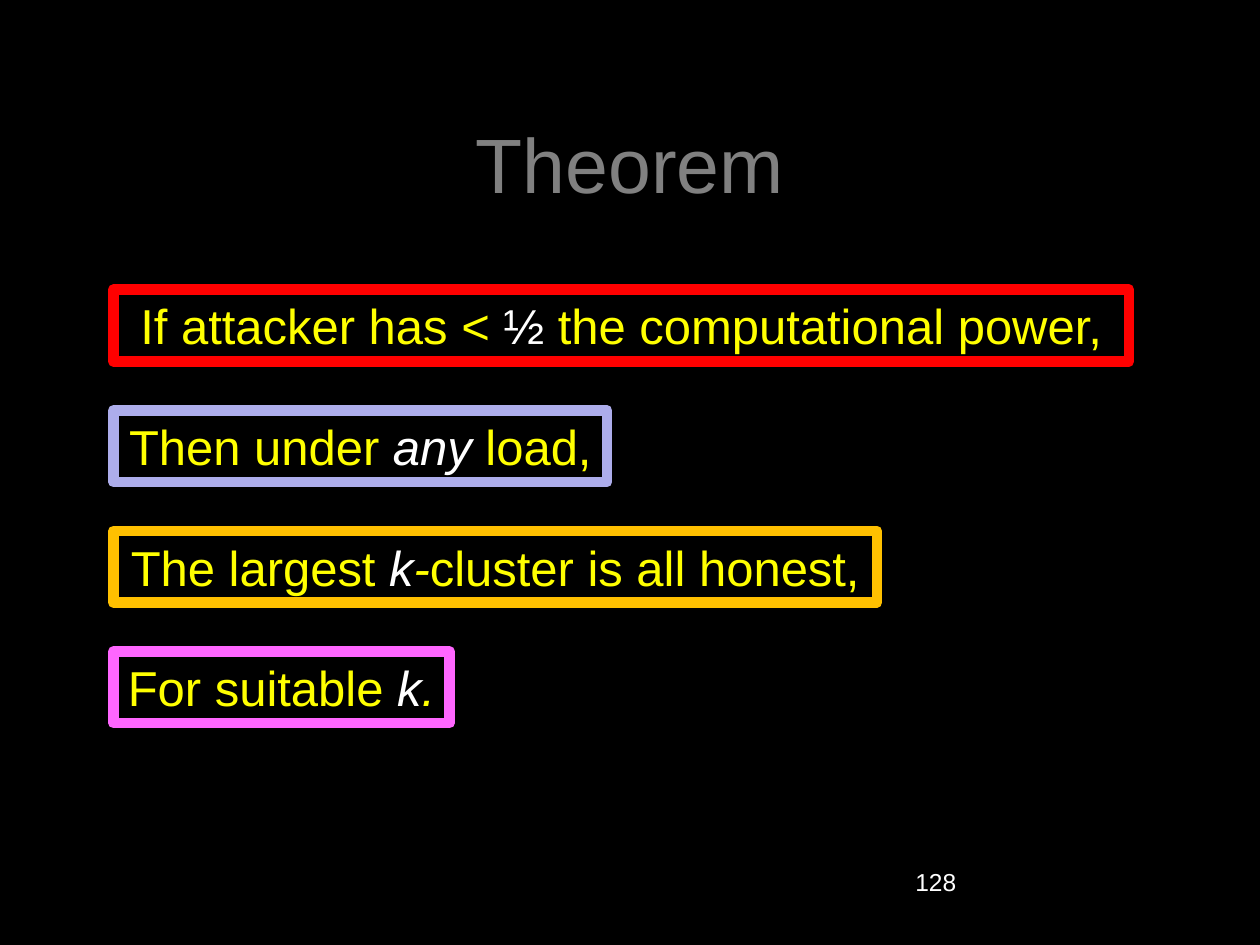
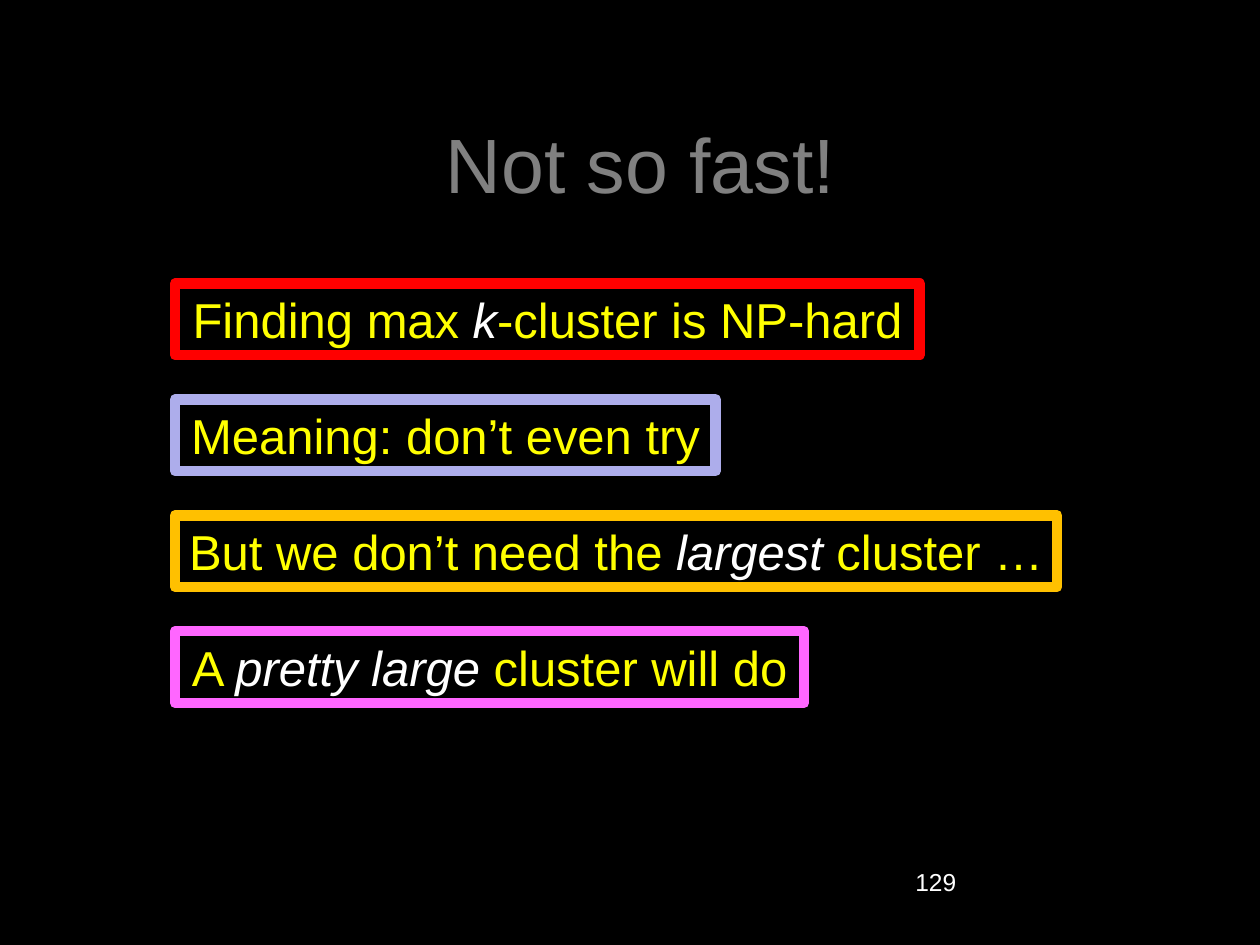
from dataclasses import dataclass, field

import pptx
import pptx.dml.color
import pptx.enum.shapes
import pptx.enum.text
import pptx.util

Pt = pptx.util.Pt
RGB = pptx.dml.color.RGBColor.from_string
Align = pptx.enum.text.PP_ALIGN
Anchor = pptx.enum.text.MSO_ANCHOR
AutoSize = pptx.enum.text.MSO_AUTO_SIZE


@dataclass(frozen=True)
class Theme:
    font: str = "Arial"
    background: str = "000000"
    title: str = "808080"
    statement: str = "FFFF00"
    accent: str = "FFFFFF"
    borders: tuple[str, ...] = ("FF0000", "ADADEB", "FFC000", "FF66FF")
    title_size: float = 44
    statement_size: float = 28
    number_size: float = 14
    border_width: float = 6


THEME = Theme()


@dataclass(frozen=True)
class Span:
    text: str
    color: str = THEME.statement
    italic: bool = False


@dataclass(frozen=True)
class Statement:
    width: float
    spans: tuple[Span, ...]


@dataclass(frozen=True)
class StatementSlide:
    title: str
    number: int
    left: float
    top: float
    pitch: float
    statements: tuple[Statement, ...] = field(default_factory=tuple)


def accent(text: str) -> Span:
    return Span(text, THEME.accent, True)


SLIDES = (
    StatementSlide("Theorem", 128, 64.8, 165.6, 68.9, (
        Statement(580.3, (Span("If attacker has < "), Span("½", THEME.accent),
                          Span(" the computational power,"))),
        Statement(282.2, (Span("Then under "), accent("any"), Span(" load,"))),
        Statement(436.3, (Span("The largest "), accent("k"), Span("-", italic=True),
                          Span("cluster is all honest,"))),
        Statement(192.2, (Span("For suitable "), accent("k"), Span(".", italic=True))),
    )),
    StatementSlide(" Not so fast!", 129, 100.1, 162, 66.25, (
        Statement(425.5, (Span("Finding max "), accent("k"), Span("-cluster is NP-hard"))),
        Statement(308.9, (Span("Meaning: don’t even try"),)),
        Statement(504, (Span("But we don’t need the "), accent("largest"), Span(" cluster …"))),
        Statement(359.3, (Span("A "), accent("pretty large "), Span("cluster will do"))),
    )),
)


def set_attributes(target: object, values: dict[str, object]) -> None:
    for name, value in values.items():
        setattr(target, name, value)


def place(shape, left: float, top: float, width: float, height: float) -> None:
    set_attributes(shape, {"left": Pt(left), "top": Pt(top),
                           "width": Pt(width), "height": Pt(height)})


def write_spans(paragraph, spans: tuple[Span, ...], size: float) -> None:
    for span in spans:
        run = paragraph.add_run()
        run.text = span.text
        set_attributes(run.font, {"name": THEME.font, "size": Pt(size), "italic": span.italic})
        run.font.color.rgb = RGB(span.color)


def add_title(slide, text: str) -> None:
    title = slide.shapes.title
    place(title, 54, 48, 612, 90)
    set_attributes(title.text_frame, {"vertical_anchor": Anchor.MIDDLE, "word_wrap": True})
    paragraph = title.text_frame.paragraphs[0]
    paragraph.alignment = Align.CENTER
    write_spans(paragraph, (Span(text, THEME.title),), THEME.title_size)


def add_number(slide, number: int) -> None:
    box = slide.shapes.add_textbox(Pt(516), Pt(492), Pt(150), Pt(36))
    box.text_frame.word_wrap = True
    write_spans(box.text_frame.paragraphs[0], (Span(str(number), THEME.accent),),
                THEME.number_size)


def add_statement(slide, statement: Statement, border: str, left: float, top: float) -> None:
    shape = slide.shapes.add_shape(pptx.enum.shapes.MSO_SHAPE.RECTANGLE,
                                   Pt(left), Pt(top), Pt(statement.width), Pt(41))
    shape.shadow.inherit = False
    shape.fill.solid()
    shape.fill.fore_color.rgb = RGB(THEME.background)
    shape.line.color.rgb = RGB(border)
    shape.line.width = Pt(THEME.border_width)
    set_attributes(shape.text_frame, {"word_wrap": False, "vertical_anchor": Anchor.TOP,
                                      "auto_size": AutoSize.SHAPE_TO_FIT_TEXT})
    paragraph = shape.text_frame.paragraphs[0]
    paragraph.alignment = Align.CENTER
    write_spans(paragraph, statement.spans, THEME.statement_size)


def add_statement_slide(presentation, content: StatementSlide) -> None:
    slide = presentation.slides.add_slide(presentation.slide_layouts.get_by_name("Title Only"))
    add_title(slide, content.title)
    add_number(slide, content.number)
    for row, (statement, border) in enumerate(zip(content.statements, THEME.borders)):
        add_statement(slide, statement, border, content.left, content.top + row * content.pitch)


def main() -> None:
    presentation = pptx.Presentation()
    set_attributes(presentation, {"slide_width": Pt(720), "slide_height": Pt(540)})
    background = presentation.slide_master.background.fill
    background.solid()
    background.fore_color.rgb = RGB(THEME.background)
    for content in SLIDES:
        add_statement_slide(presentation, content)
    presentation.save("out.pptx")


if __name__ == "__main__":
    main()
